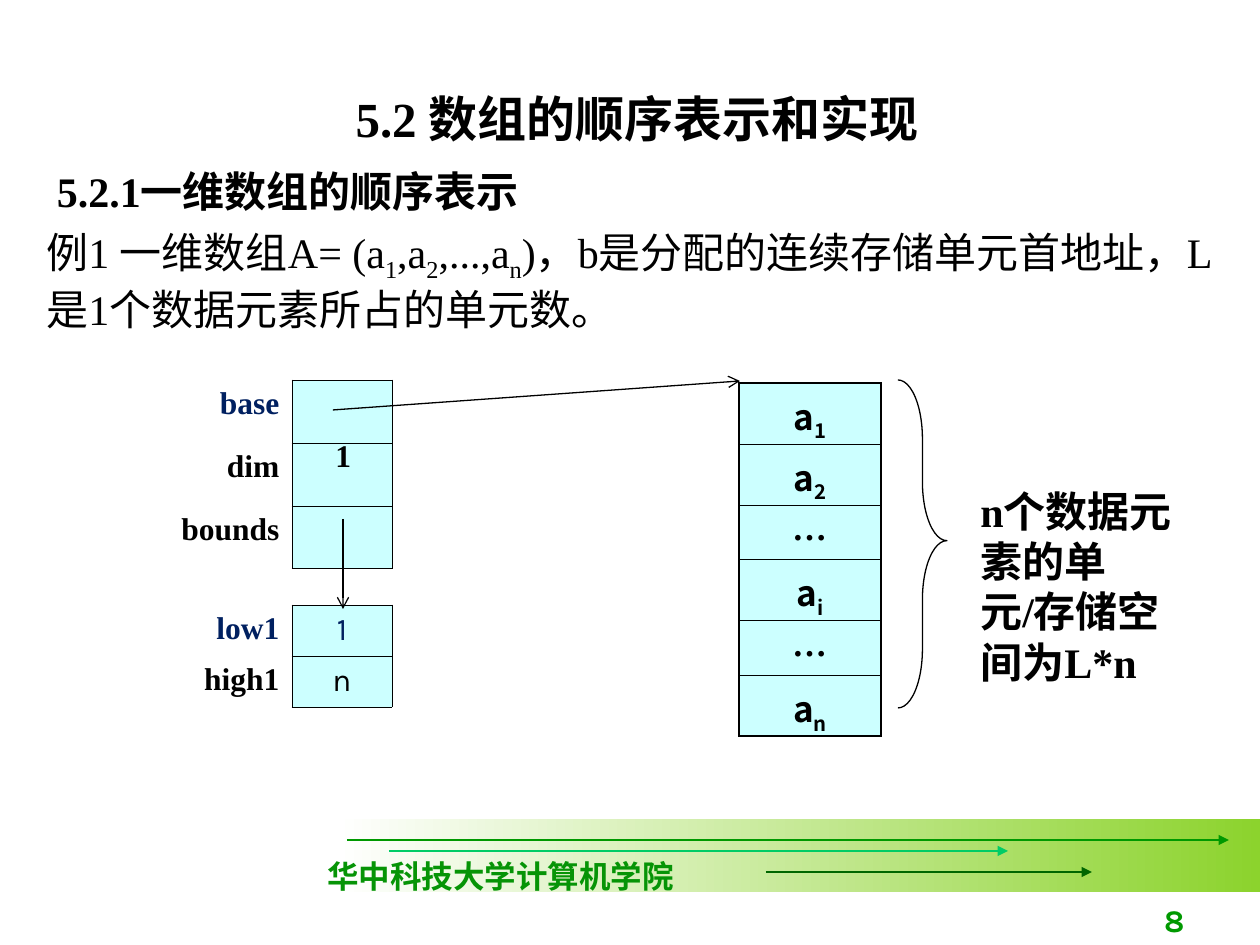
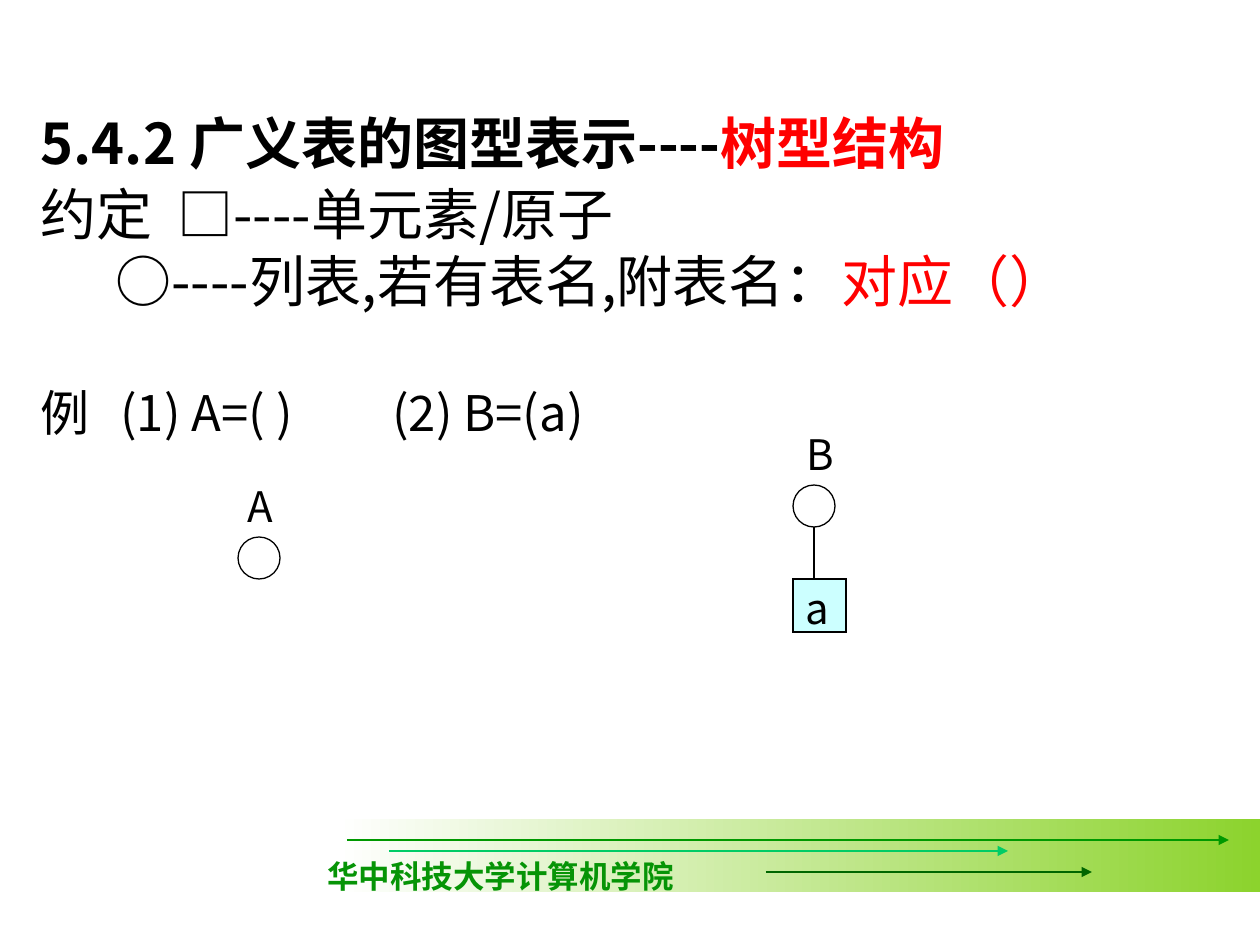
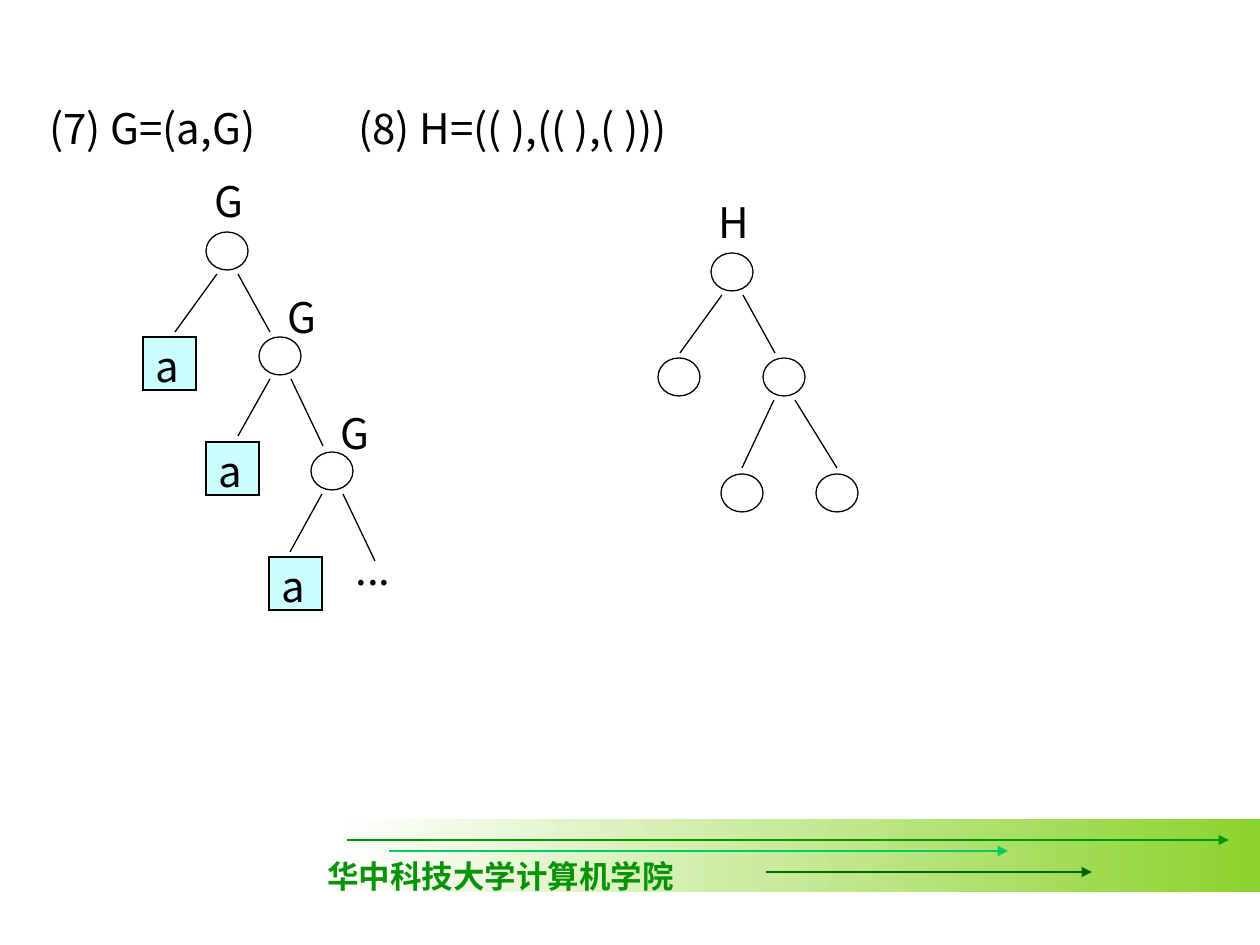
"""Build three lecture slides on array storage and generalized lists."""
from dataclasses import dataclass

from lxml.etree import SubElement
from pptx import Presentation
from pptx.dml.color import RGBColor
from pptx.enum.shapes import MSO_CONNECTOR, MSO_SHAPE
from pptx.enum.text import MSO_ANCHOR, MSO_AUTO_SIZE, PP_ALIGN
from pptx.oxml.ns import qn
from pptx.util import Pt

PX = 7257


@dataclass(frozen=True)
class Theme:
    black: RGBColor = RGBColor(0x00, 0x00, 0x00)
    white: RGBColor = RGBColor(0xFF, 0xFF, 0xFF)
    red: RGBColor = RGBColor(0xFF, 0x00, 0x00)
    navy: RGBColor = RGBColor(0x00, 0x20, 0x60)
    cell: RGBColor = RGBColor(0xCC, 0xFF, 0xFF)
    lime: RGBColor = RGBColor(0x8C, 0xD3, 0x2D)
    green: RGBColor = RGBColor(0x00, 0x99, 0x00)
    mint: RGBColor = RGBColor(0x00, 0xCC, 0x66)
    forest: RGBColor = RGBColor(0x00, 0x66, 0x00)
    school: RGBColor = RGBColor(0x06, 0x94, 0x06)
    serif: str = "Times New Roman"
    sans: str = "Noto Sans CJK SC"
    number: str = "Karla"
    heading: int = 32
    title: int = 28
    body: int = 24
    element: int = 20
    label: int = 18
    thin: float = 0.45
    line: float = 0.75
    thick: float = 1.08


THEME = Theme()


def write(para, text, size, font, color=THEME.black, bold=False, align=PP_ALIGN.LEFT,
          spacing=None, before=0, tabs=(), accent=None):
    """Fill a paragraph; pieces between bars are accented, or subscripts without an accent."""
    if tabs:
        stops = SubElement(para._p.get_or_add_pPr(), qn("a:tabLst"))
        for stop in tabs:
            SubElement(stops, qn("a:tab"), pos=str(stop * PX), algn="l")
    para.alignment = align
    para.line_spacing = spacing
    para.space_before = Pt(before)
    para.font.size = Pt(size)
    para.font.name = font
    para.font.bold = bold
    para.font.color.rgb = color
    for index, piece in enumerate(text.split("|")):
        span = para.add_run()
        span.text = piece
        if index % 2 and accent:
            span.font.color.rgb = accent
        elif index % 2:
            span._r.get_or_add_rPr().set("baseline", "-25000")


def draw_line(slide, start, end, color=THEME.black, head=None):
    """Draw a straight line with an optional arrowhead at its end."""
    line = slide.shapes.add_connector(
        MSO_CONNECTOR.STRAIGHT, *(value * PX for value in (*start, *end)))
    line.line.color.rgb = color
    line.line.width = Pt(THEME.line)
    properties = line.element.spPr
    if head:
        SubElement(properties.find(qn("a:ln")), qn("a:tailEnd"), type=head)
    SubElement(properties, qn("a:effectLst"))
    return line


deck = Presentation()
deck.slide_width = 1260 * PX
deck.slide_height = 945 * PX
array_slide = deck.slides.add_slide(deck.slide_layouts[5])
list_slide = deck.slides.add_slide(deck.slide_layouts[5])
tree_slide = deck.slides.add_slide(deck.slide_layouts[6])

band = array_slide.shapes.add_shape(MSO_SHAPE.RECTANGLE, 336 * PX, 819 * PX, 924 * PX, 73 * PX)
band.shadow.inherit = False
band.line.fill.background()
band.fill.gradient()
band.fill.gradient_angle = 0
for stop, color in zip(band.fill.gradient_stops, (THEME.white, THEME.lime)):
    stop.color.rgb = color
footer_parts = [band]
for start, end, color in [
    ((347, 840), (1229, 840), THEME.green),
    ((389, 851), (1008, 851), THEME.mint),
    ((766, 872), (1092, 872), THEME.forest),
]:
    footer_parts.append(draw_line(array_slide, start, end, color, "triangle"))
school = array_slide.shapes.add_textbox(315 * PX, 851 * PX, 372 * PX, 50 * PX)
school.text_frame.word_wrap = False
write(school.text_frame.paragraphs[0], "华中科技大学计算机学院", THEME.label, THEME.serif,
      THEME.school, True)
footer_parts.append(school)
for part in footer_parts:
    deck.slide_master.shapes.element.append(part.element)

for slide, place, text, size, font, align, spacing in [
    (array_slide, (34, 82, 1206, 72), "5.2 数组的顺序表示和实现",
     THEME.title, THEME.serif, PP_ALIGN.CENTER, None),
    (list_slide, (28, 115, 1207, 68), "5.4.2 广义表的图型表示----|树型结构",
     THEME.heading, THEME.sans, PP_ALIGN.LEFT, 0.8),
]:
    title = slide.shapes.title
    title.left, title.top, title.width, title.height = (value * PX for value in place)
    title.text_frame.auto_size = MSO_AUTO_SIZE.NONE
    title.text_frame.vertical_anchor = MSO_ANCHOR.TOP
    write(title.text_frame.paragraphs[0], text, size, font, bold=True, align=align,
          spacing=spacing, accent=THEME.red)

serif_bold = dict(font=THEME.serif, bold=True)
sans_tight = dict(font=THEME.sans, spacing=0.8)
for slide, place, paragraphs in [
    (array_slide, (34, 159, 1206, 182), [
        (" 5.2.1一维数组的顺序表示", dict(size=THEME.body, **serif_bold)),
        ("例1 一维数组A= (a|1|,a|2|,...,a|n|)，b是分配的连续存储单元首地址，"
         "L是1个数据元素所占的单元数。", dict(size=THEME.body, font=THEME.serif, before=6)),
    ]),
    (array_slide, (968, 479, 228, 214), [
        ("n个数据元素的单元/存储空间为L*n", dict(size=THEME.body, **serif_bold)),
    ]),
    (list_slide, (28, 186, 1207, 285), [
        ("约定\t□----单元素/原子", dict(size=THEME.heading, tabs=[137], **sans_tight)),
        ("\t○----列表,若有表名,附表名：|对应（）",
         dict(size=THEME.heading, before=8, tabs=[75], accent=THEME.red, **sans_tight)),
        ("例\t(1) A=( )\t(2) B=(a)",
         dict(size=THEME.title, before=46, tabs=[80, 352], **sans_tight)),
    ]),
    (tree_slide, (37, 96, 1198, 814), [
        ("(7) G=(a,G)\t(8) H=(( ),(( ),( )))",
         dict(size=THEME.body, font=THEME.sans, tabs=[309])),
    ]),
    (tree_slide, (343, 537, 78, 63), [("...", dict(size=THEME.body, font=THEME.sans))]),
]:
    box = slide.shapes.add_textbox(*(value * PX for value in place))
    box.text_frame.word_wrap = True
    for index, (text, style) in enumerate(paragraphs):
        para = box.text_frame.add_paragraph() if index else box.text_frame.paragraphs[0]
        write(para, text, **style)

page = array_slide.shapes.add_textbox(935 * PX, 882 * PX, 262 * PX, 63 * PX)
page.text_frame.word_wrap = True
page.text_frame.vertical_anchor = MSO_ANCHOR.BOTTOM
write(page.text_frame.paragraphs[0], "8", THEME.label, THEME.number, THEME.green, True,
      PP_ALIGN.RIGHT)

element_style = dict(size=THEME.element, font=THEME.sans, bold=True, align=PP_ALIGN.CENTER)
bound_style = dict(size=THEME.label, font=THEME.number, align=PP_ALIGN.CENTER)
label_style = dict(size=THEME.label, align=PP_ALIGN.RIGHT, **serif_bold)
atom_style = dict(size=THEME.body, **sans_tight)
atoms = [
    (slide, left, top, [53], [53], [["a"]], atom_style, THEME.thick)
    for slide, left, top in [
        (list_slide, 793, 579), (tree_slide, 143, 337),
        (tree_slide, 206, 442), (tree_slide, 269, 557),
    ]
]
for slide, left, top, widths, heights, rows, value_style, weight in [
    (array_slide, 739, 383, [142], [61, 61, 54, 61, 54, 61],
     [["a|1"], ["a|2"], ["…"], ["a|i"], ["…"], ["a|n"]], element_style, THEME.thick),
    (array_slide, 164, 380, [128, 100], [63] * 3,
     [["base", ""], ["dim", ""], ["bounds", ""]], bound_style, THEME.thin),
    (array_slide, 164, 605, [128, 100], [51] * 2,
     [["low1", "1"], ["high1", "n"]], bound_style, THEME.thin),
    *atoms,
]:
    table = slide.shapes.add_table(len(heights), len(widths), left * PX, top * PX,
                                   sum(widths) * PX, sum(heights) * PX).table
    table.first_row = table.horz_banding = False
    for column, width in zip(table.columns, widths):
        column.width = width * PX
    for row, height in zip(table.rows, heights):
        row.height = height * PX
    for row_index, texts in enumerate(rows):
        for column_index, text in enumerate(texts):
            cell = table.cell(row_index, column_index)
            is_label = column_index < len(widths) - 1
            if is_label:
                cell.fill.background()
            else:
                cell.fill.solid()
                cell.fill.fore_color.rgb = THEME.cell
            if text:
                color = THEME.navy if len(widths) > 1 and row_index == 0 else THEME.black
                write(cell.text_frame.paragraphs[0], text, color=color,
                      **(label_style if is_label else value_style))
            borders = [
                ("L", weight),
                ("R", weight),
                ("T", weight if row_index == 0 else THEME.thin),
                ("B", weight if row_index == len(rows) - 1 else THEME.thin),
            ]
            properties = cell._tc.get_or_add_tcPr()
            for position, (side, thickness) in enumerate(borders):
                border = SubElement(properties, qn(f"a:ln{side}"), w=str(Pt(thickness)))
                border_color = THEME.white if is_label and side != "R" else THEME.black
                fill = SubElement(border, qn("a:solidFill"))
                SubElement(fill, qn("a:srgbClr"), val=str(border_color))
                properties.insert(position, border)

draw_line(array_slide, (333, 410), (740, 381), head="arrow")
draw_line(array_slide, (343, 519), (343, 609), head="arrow")
draw_line(list_slide, (814, 527), (814, 579))

brace = array_slide.shapes.add_shape(
    MSO_SHAPE.RIGHT_BRACE, 898 * PX, 380 * PX, 49 * PX, 328 * PX)
brace.adjustments[0] = 1.2
brace.adjustments[1] = 0.49
outlines = [brace]
for slide, left, top, height, branches in [
    (list_slide, 238, 537, 42, []),
    (list_slide, 793, 485, 42, []),
    (tree_slide, 206, 232, 38, [(-42, 58), (32, 58)]),
    (tree_slide, 259, 337, 38, [(-32, 57), (32, 67)]),
    (tree_slide, 311, 452, 38, [(-32, 58), (32, 67)]),
    (tree_slide, 711, 253, 38, [(-42, 58), (32, 58)]),
    (tree_slide, 658, 358, 38, []),
    (tree_slide, 763, 358, 38, [(-32, 68), (42, 68)]),
    (tree_slide, 721, 474, 38, []),
    (tree_slide, 816, 474, 38, []),
]:
    outlines.append(slide.shapes.add_shape(
        MSO_SHAPE.OVAL, left * PX, top * PX, 42 * PX, height * PX))
    for offset, (across, down) in zip((11, 32), branches):
        start = (left + offset, top + 42)
        draw_line(slide, start, (start[0] + across, start[1] + down))
for outline in outlines:
    outline.shadow.inherit = False
    outline.fill.background()
    outline.line.color.rgb = THEME.black
    outline.line.width = Pt(THEME.line)

for slide, text, left, top, width, style in [
    (array_slide, "1", 323, 430, 79, dict(size=THEME.label, **serif_bold)),
    (list_slide, "A", 235, 484, 52, atom_style),
    (list_slide, "B", 794, 432, 52, atom_style),
    (tree_slide, "G", 202, 179, 55, atom_style),
    (tree_slide, "G", 275, 295, 55, atom_style),
    (tree_slide, "G", 328, 411, 55, atom_style),
    (tree_slide, "H", 706, 200, 55, atom_style),
]:
    name = slide.shapes.add_textbox(left * PX, top * PX, width * PX, 53 * PX)
    name.text_frame.word_wrap = False
    write(name.text_frame.paragraphs[0], text, **style)

deck.save("out.pptx")
